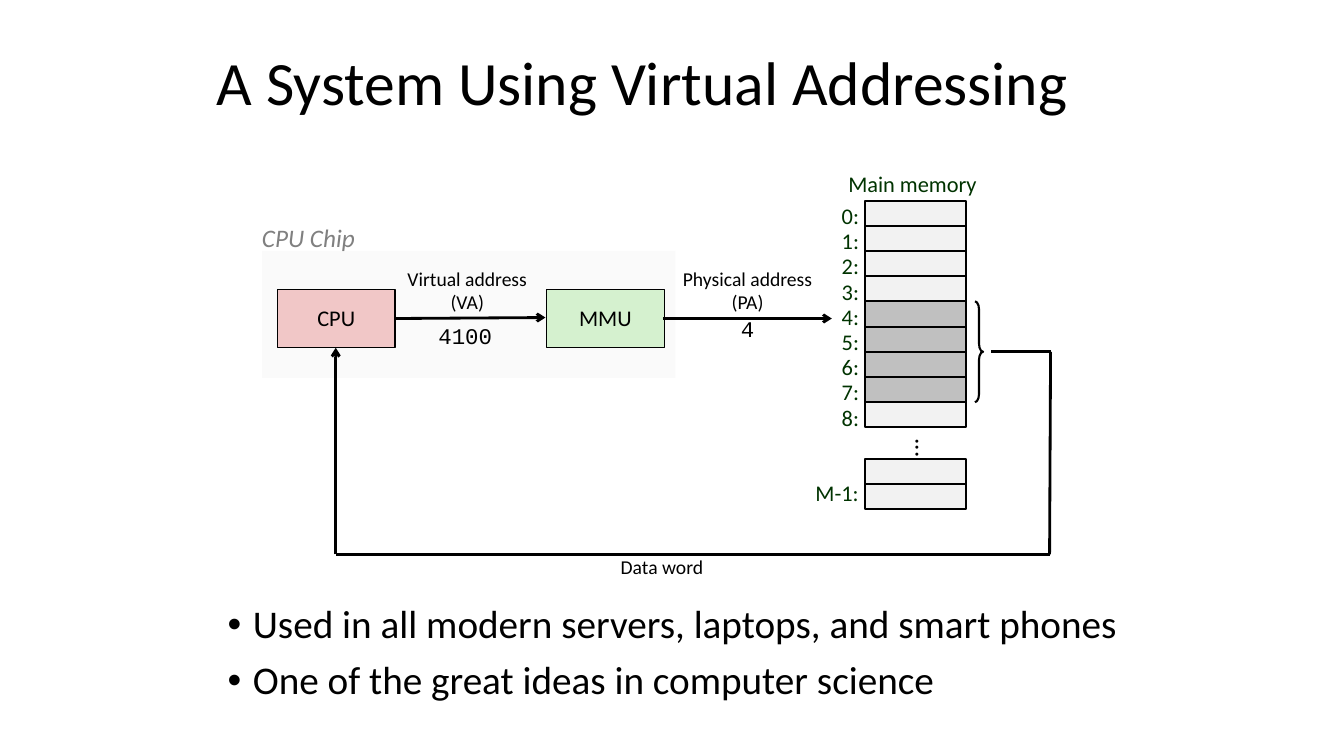
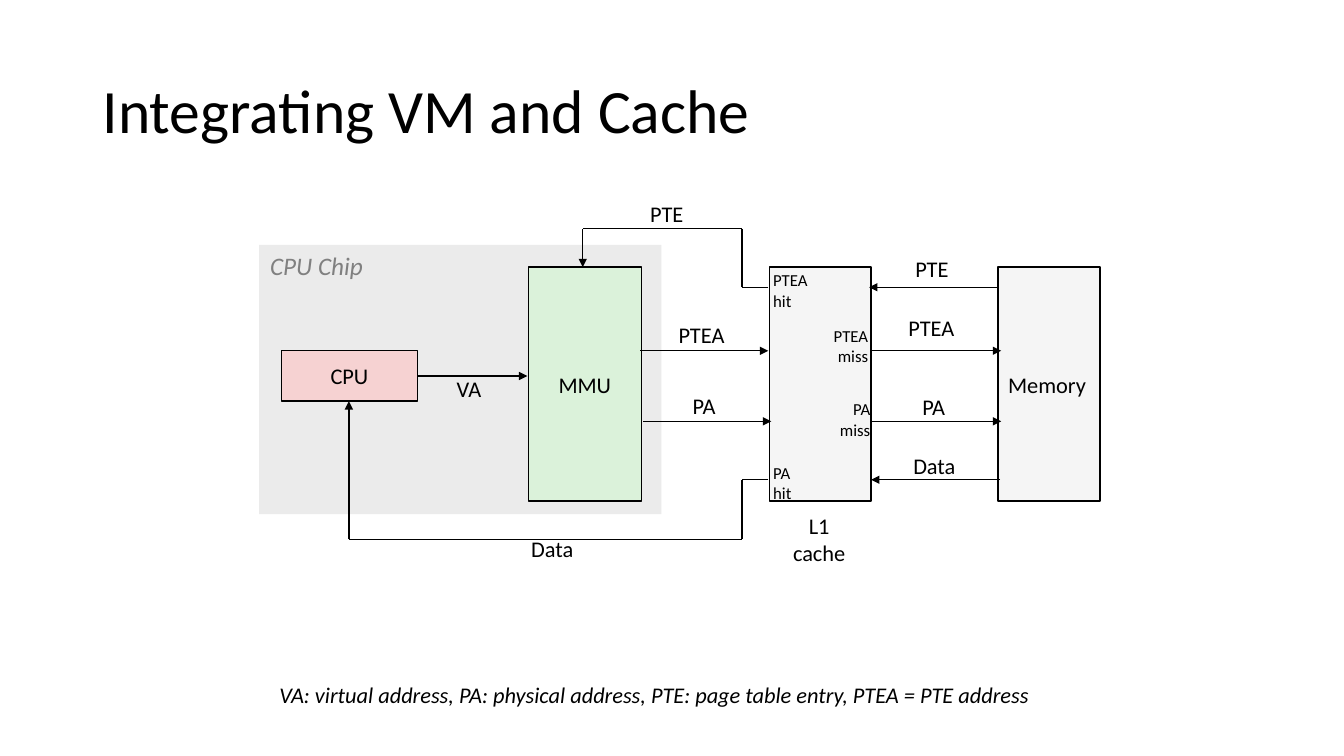
"""Build two slides on virtual addressing and on joining it with a cache."""
from dataclasses import dataclass
from itertools import pairwise

from lxml import etree
from pptx import Presentation
from pptx import util as u
from pptx.dml import color as c
from pptx.enum import shapes, text as t
from pptx.oxml import ns


@dataclass(frozen=True)
class Theme:
    font: str = "Calibri"
    mono: str = "Courier New"
    ink: str = "000000"
    muted: str = "808080"
    memory_ink: str = "003300"
    cell: str = "F2F2F2"
    used_cell: str = "C0C0C0"
    storage: str = "F5F5F5"
    title: int = 44
    body: int = 28
    heading: int = 18
    normal: int = 16
    caption: int = 14
    small: int = 12


THEME = Theme()
LEFT, CENTER, RIGHT = t.PP_ALIGN.LEFT, t.PP_ALIGN.CENTER, t.PP_ALIGN.RIGHT
TOP, MIDDLE = t.MSO_ANCHOR.TOP, t.MSO_ANCHOR.MIDDLE
MEMORY_STYLE = dict(color=THEME.memory_ink, spacing=0.88, before=6)
CAPTION_STYLE = dict(size=THEME.caption, align=CENTER, anchor=MIDDLE, spacing=0.98)
TIGHT_STYLE = dict(spacing=0.85, inset=(0.07, 0.03))


def inches(values):
    return [u.Inches(value) for value in values]


def write(frame, text, size=THEME.normal, font=THEME.font, color=THEME.ink, italic=False,
          align=LEFT, anchor=TOP, spacing=1.0, before=0, inset=(0.1, 0.05), wrap=False):
    """Fill a text frame, one paragraph for each line of text."""
    frame.word_wrap = wrap
    frame.vertical_anchor = anchor
    frame.margin_left = frame.margin_right = u.Inches(inset[0])
    frame.margin_top = frame.margin_bottom = u.Inches(inset[1])
    for index, line in enumerate(text.split("\n")):
        para = frame.add_paragraph() if index else frame.paragraphs[0]
        para.alignment = align
        para.line_spacing = spacing
        para.space_before = u.Pt(before)
        span = para.add_run()
        span.text = line
        span.font.size = u.Pt(size)
        span.font.name = font
        span.font.italic = italic
        span.font.color.rgb = c.RGBColor.from_string(color)


def label(page, text, at, **style):
    """Add a text box that fits its text."""
    box = page.shapes.add_textbox(*inches(at))
    write(box.text_frame, text, **style)
    box.text_frame.auto_size = t.MSO_AUTO_SIZE.SHAPE_TO_FIT_TEXT
    return box


def title(page, text, at):
    """Add the slide title."""
    box = page.shapes.add_textbox(*inches(at))
    write(box.text_frame, text, size=THEME.title, anchor=MIDDLE, spacing=0.9, wrap=True)


def bullets(page, text, at):
    """Add a bulleted list, one item for each line of text."""
    box = page.shapes.add_textbox(*inches(at))
    write(box.text_frame, text, size=THEME.body, spacing=0.9, before=10, wrap=True)
    for para in box.text_frame.paragraphs:
        props = para._p.get_or_add_pPr()
        props.set("marL", str(u.Inches(0.25)))
        props.set("indent", str(u.Inches(-0.25)))
        etree.SubElement(props, ns.qn("a:buFont")).set("typeface", "Arial")
        etree.SubElement(props, ns.qn("a:buChar")).set("char", "•")


def block(page, at, fill=None, weight=0, text="", kind=shapes.MSO_SHAPE.RECTANGLE, **style):
    """Add a preset shape with an optional fill, outline and text."""
    shape = page.shapes.add_shape(kind, *inches(at))
    shape.shadow.inherit = False
    if fill:
        shape.fill.solid()
        shape.fill.fore_color.rgb = c.RGBColor.from_string(fill)
    else:
        shape.fill.background()
    if weight:
        shape.line.width = u.Pt(weight)
        shape.line.color.rgb = c.RGBColor.from_string(THEME.ink)
    else:
        shape.line.fill.background()
    if text:
        write(shape.text_frame, text, anchor=MIDDLE, **style)
    return shape


def wire(page, *points, weight=1, arrow="triangle"):
    """Join the points by straight lines, with an arrowhead at the last one."""
    for start, end in pairwise(points):
        line = page.shapes.add_connector(
            shapes.MSO_CONNECTOR.STRAIGHT, *inches(start + end))
        line.line.width = u.Pt(weight)
        line.line.color.rgb = c.RGBColor.from_string(THEME.ink)
        if arrow and end == points[-1]:
            etree.SubElement(line.line._get_or_add_ln(), ns.qn("a:tailEnd")).set("type", arrow)
        etree.SubElement(line._element.spPr, ns.qn("a:effectLst"))


def main_memory(page):
    """Draw the numbered memory cells, with the word in use shaded."""
    left, top, pitch = 8.58, 1.99, 0.25
    label(page, "Main memory", (8.29, 1.67, 1.52, 0.33), align=CENTER, **MEMORY_STYLE)
    for row in range(9):
        fill = THEME.used_cell if 4 <= row <= 7 else THEME.cell
        y = top + row * pitch
        block(page, (left, y, 1, pitch), fill, 1.5)
        label(page, f"{row}:", (8.25, y, 0.37, 0.33), **MEMORY_STYLE)
    for y in (4.55, 4.8):
        block(page, (left, y, 1, pitch), THEME.cell, 1.5)
    label(page, "M-1:", (7.99, 4.74, 0.64, 0.33), **MEMORY_STYLE)
    dots = page.shapes.add_textbox(*inches((8.67, 4.25, 1, pitch)))
    write(dots.text_frame, "...", size=THEME.heading, align=CENTER, anchor=MIDDLE, spacing=0.98)
    dots.text_frame._txBody.bodyPr.set("vert", "eaVert")
    dots.text_frame.paragraphs[0]._p.get_or_add_pPr().set("rtl", "1")
    brace = block(page, (9.67, top + 4 * pitch, 0.08, 4 * pitch), weight=1.5,
                  kind=shapes.MSO_SHAPE.RIGHT_BRACE)
    brace.adjustments[0] = 1


def addressing_slide(page):
    """Show how a virtual address becomes a physical one."""
    block(page, (2.6, 2.49, 4.1, 1.26), "FAFAFA")
    title(page, "A System Using Virtual Addressing", (2.05, 0.42, 9.53, 0.86))
    bullets(page, "Used in all modern servers, laptops, and smart phones\n"
                  "One of the great ideas in computer science", (2.16, 5.95, 9.09, 1.38))
    main_memory(page)
    for name, left, fill in (("CPU", 2.75, "F1C7C7"), ("MMU", 5.42, "D5F1CF")):
        block(page, (left, 2.87, 1.17, 0.58), fill, 0.99, name, align=CENTER, spacing=0.98)
    wire(page, (3.92, 3.16), (5.41, 3.15), weight=2, arrow="arrow")
    wire(page, (6.58, 3.16), (8.25, 3.16), weight=2, arrow="arrow")
    wire(page, (9.83, 3.49), (10.42, 3.49), (10.41, 5.5), (3.33, 5.5), (3.33, 3.45),
         weight=2, arrow="arrow")
    for text, at in (
        ("Virtual address\n(VA)", (3.92, 2.6, 1.43, 0.57)),
        ("Physical address\n(PA)", (6.65, 2.6, 1.53, 0.57)),
        ("Data word", (6.04, 5.47, 1.05, 0.33)),
    ):
        label(page, text, at, **CAPTION_STYLE)
    label(page, "4100", (4.25, 3.15, 0.74, 0.37), font=THEME.mono)
    label(page, "4", (7.25, 3.08, 0.34, 0.37), font=THEME.mono)
    label(page, "CPU Chip", (2.5, 2.16, 1.16, 0.4),
          size=THEME.heading, color=THEME.muted, italic=True)


def cache_slide(page):
    """Show the traffic between CPU, MMU, cache and memory."""
    block(page, (2.57, 2.43, 3.99, 2.67), "EBEBEB")
    title(page, "Integrating VM and Cache", (0.92, 0.4, 11.5, 1.45))
    for name, at, fill, align in (
        ("CPU", (2.79, 3.48, 1.35, 0.5), "F6D2D2", CENTER),
        ("MMU", (5.24, 2.65, 1.12, 2.32), "DBF2DA", CENTER),
        ("", (7.63, 2.65, 1.01, 2.32), THEME.storage, LEFT),
        ("Memory", (9.9, 2.65, 1.01, 2.32), THEME.storage, LEFT),
    ):
        block(page, at, fill, 1, name, align=align)
    for points in (
        ((4.14, 3.73), (5.23, 3.73)),
        ((6.35, 3.48), (7.62, 3.48)),
        ((6.38, 4.18), (7.65, 4.18)),
        ((8.65, 3.48), (9.93, 3.48)),
        ((8.64, 4.18), (9.93, 4.18)),
        ((9.9, 2.85), (8.62, 2.85)),
        ((9.92, 4.76), (8.64, 4.76)),
        ((7.62, 2.85), (7.36, 2.85), (7.36, 2.27), (5.78, 2.27), (5.78, 2.65)),
        ((7.62, 4.76), (7.36, 4.76), (7.36, 5.35), (3.46, 5.35), (3.46, 3.98)),
    ):
        wire(page, *points)
    for text, at in (
        ("VA", (4.46, 3.73, 0.39, 0.29)),
        ("PTEA", (6.66, 3.2, 0.62, 0.29)),
        ("PA", (6.8, 3.9, 0.38, 0.29)),
        ("PTEA", (8.94, 3.13, 0.62, 0.29)),
    ):
        label(page, text, at, **TIGHT_STYLE)
    for text, at in (
        ("PTE", (6.35, 1.93, 0.54, 0.37)),
        ("Data", (5.17, 5.26, 0.64, 0.37)),
        ("PTE", (8.98, 2.48, 0.54, 0.37)),
        ("PA", (9.05, 3.85, 0.44, 0.37)),
        ("Data", (8.96, 4.43, 0.64, 0.37)),
    ):
        label(page, text, at, anchor=MIDDLE)
    for text, at, align in (
        ("PTEA\nhit", (7.57, 2.63, 0.59, 0.5), LEFT),
        ("PA\nhit", (7.57, 4.54, 0.41, 0.5), LEFT),
        ("PTEA\nmiss", (8.16, 3.18, 0.55, 0.5), RIGHT),
        ("PA\nmiss", (8.21, 3.91, 0.52, 0.5), RIGHT),
    ):
        label(page, text, at, size=THEME.small, align=align, anchor=MIDDLE)
    label(page, "L1\ncache", (7.76, 5.03, 0.73, 0.64), align=CENTER, anchor=MIDDLE)
    label(page, "CPU Chip", (2.58, 2.43, 1.13, 0.4),
          size=THEME.heading, color=THEME.muted, italic=True)
    label(page, "VA: virtual address, PA: physical address, PTE: page table entry, "
                "PTEA = PTE address", (2.7, 6.77, 7.92, 0.29), italic=True, **TIGHT_STYLE)


def main():
    """Build and save the deck."""
    deck = Presentation()
    deck.slide_width, deck.slide_height = inches((13.33, 7.5))
    for draw in (addressing_slide, cache_slide):
        draw(deck.slides.add_slide(deck.slide_layouts[6]))
    deck.save("out.pptx")


main()
